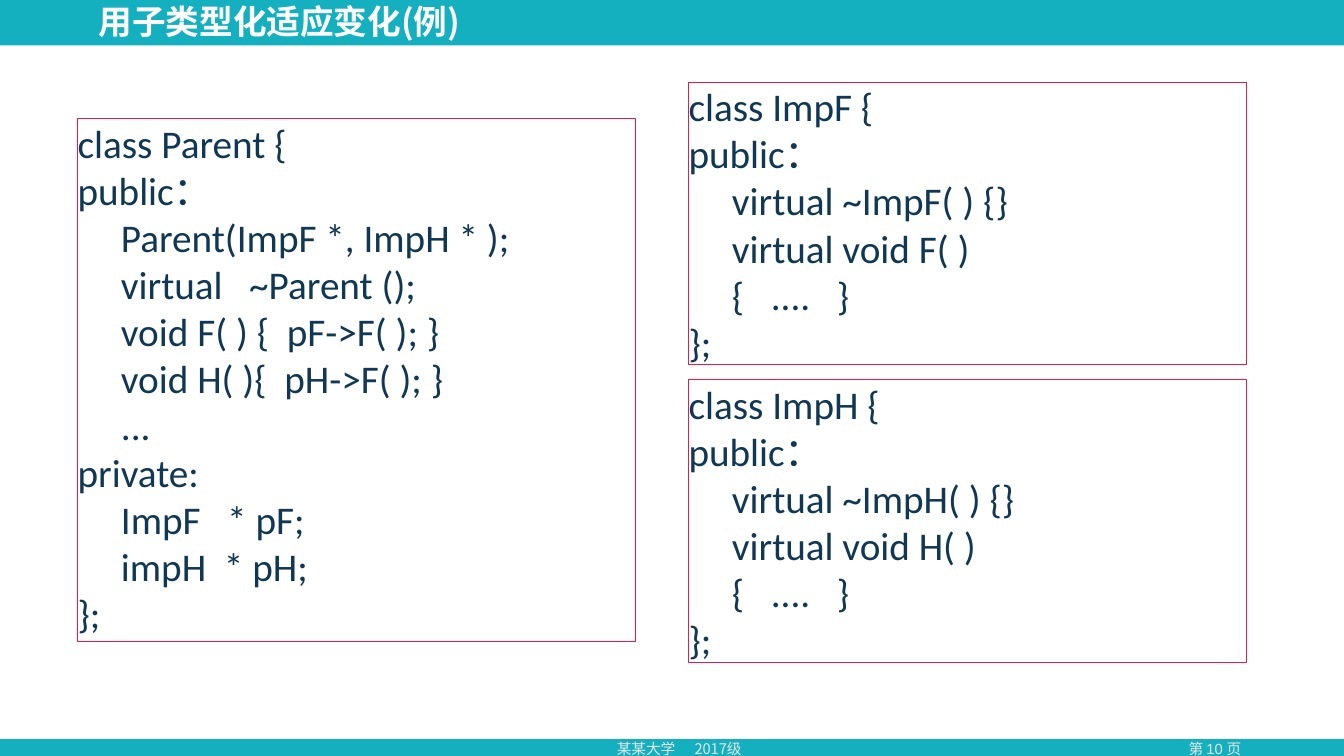
from lxml import etree
from pptx import Presentation, util as u
from pptx.dml.color import RGBColor
from pptx.enum import shapes, text
from pptx.oxml.ns import qn

CJK = "Noto Sans CJK SC"
TEAL, WHITE, GREY = "14B0C0", "FFFFFF", "E7E6E6"
RED, NAVY = "E61A4B", "103754"


def paint(color, code):
    color.rgb = RGBColor.from_string(code)


def write(para, words, size, face, code, bold=False):
    """Fill a paragraph; a vertical tab in words is a line break."""
    para.text = words
    for run in para.runs:
        font = run.font
        font.size, font.name, font.bold = u.Pt(size), face, bold
        paint(font.color, code)
        east = etree.SubElement(run._r.get_or_add_rPr(), qn("a:ea"))
        east.set("typeface", CJK)


class Deck:
    hang = u.Inches(0.43)
    wide = u.Inches(5.53)

    def __init__(self):
        self.show = Presentation()
        self.show.slide_width = u.Inches(13.33)
        self.show.slide_height = u.Inches(7.5)
        self.slide = self.show.slides.add_slide(self.show.slide_layouts[6])

    def rect(self, x, y, w, h, fill, line=None):
        box = self.slide.shapes.add_shape(
            shapes.MSO_SHAPE.RECTANGLE, x, y, w, h)
        box.shadow.inherit = False
        box.fill.solid()
        paint(box.fill.fore_color, fill)
        if line:
            paint(box.line.color, line)
            box.line.width = u.Pt(0.75)
        else:
            box.line.fill.background()
        return box

    def label(self, x, y, w, h, words, size, face, code, bold=False):
        frame = self.slide.shapes.add_textbox(x, y, w, h).text_frame
        frame.word_wrap = True
        frame.vertical_anchor = text.MSO_ANCHOR.MIDDLE
        write(frame.paragraphs[0], words, size, face, code, bold)
        return frame.paragraphs[0]

    def code(self, x, y, h, parts):
        """Draw a framed listing; each part is a head line and its indented body."""
        frame = self.rect(x, y, self.wide, h, WHITE, RED).text_frame
        frame.margin_left = frame.margin_right = 0
        frame.margin_top = frame.margin_bottom = 0
        frame.word_wrap = True
        frame.auto_size = text.MSO_AUTO_SIZE.SHAPE_TO_FIT_TEXT
        frame.vertical_anchor = text.MSO_ANCHOR.TOP
        for i, part in enumerate(parts):
            para = frame.add_paragraph() if i else frame.paragraphs[0]
            para.alignment = text.PP_ALIGN.LEFT
            props = para._p.get_or_add_pPr()
            props.set("marL", str(self.hang))
            props.set("indent", str(-self.hang))
            write(para, "\v".join(part), 28, "Calibri", NAVY)


def tab(para, stop):
    """Give the paragraph one left tab stop."""
    tabs = etree.SubElement(para._p.get_or_add_pPr(), qn("a:tabLst"))
    etree.SubElement(tabs, qn("a:tab"), pos=str(stop), algn="l")


def main():
    deck = Deck()
    inch = u.Inches
    deck.rect(0, 0, inch(13.33), inch(7.5), TEAL)
    deck.rect(0, inch(0.45), inch(13.33), inch(6.88), WHITE)

    page = deck.label(inch(11.32), inch(7.29), inch(1.46), inch(0.28),
                      "第 10 页", 10.5, "Arial", GREY)
    page.alignment = text.PP_ALIGN.CENTER
    school = deck.label(inch(6.02), inch(7.29), inch(1.84), inch(0.28),
                        "某某大学\t2017级", 10.5, CJK, GREY)
    tab(school, inch(0.77))
    title = deck.label(inch(0.88), inch(0.04), inch(7.68), inch(0.39),
                       "用子类型化适应变化(例)", 24, CJK, WHITE, True)
    title.line_spacing = 0.9

    deck.code(inch(0.77), inch(1.18), inch(5.18), [
        ["class Parent {"],
        ["public：", "Parent(ImpF *, ImpH * );", "virtual   ~Parent ();",
         "void F( ) {  pF->F( ); }", "void H( ){  pH->F( ); }", "..."],
        ["private:", "ImpF   * pF;", "impH  * pH;"],
        ["};"],
    ])
    for name, top in (("F", 0.82), ("H", 3.77)):
        deck.code(inch(6.83), inch(top), inch(2.8), [
            [f"class Imp{name} {{"],
            ["public：", f"virtual ~Imp{name}( ) {{}}",
             f"virtual void {name}( )", "{   ....   }"],
            ["};"],
        ])
    deck.show.save("out.pptx")


if __name__ == "__main__":
    main()
